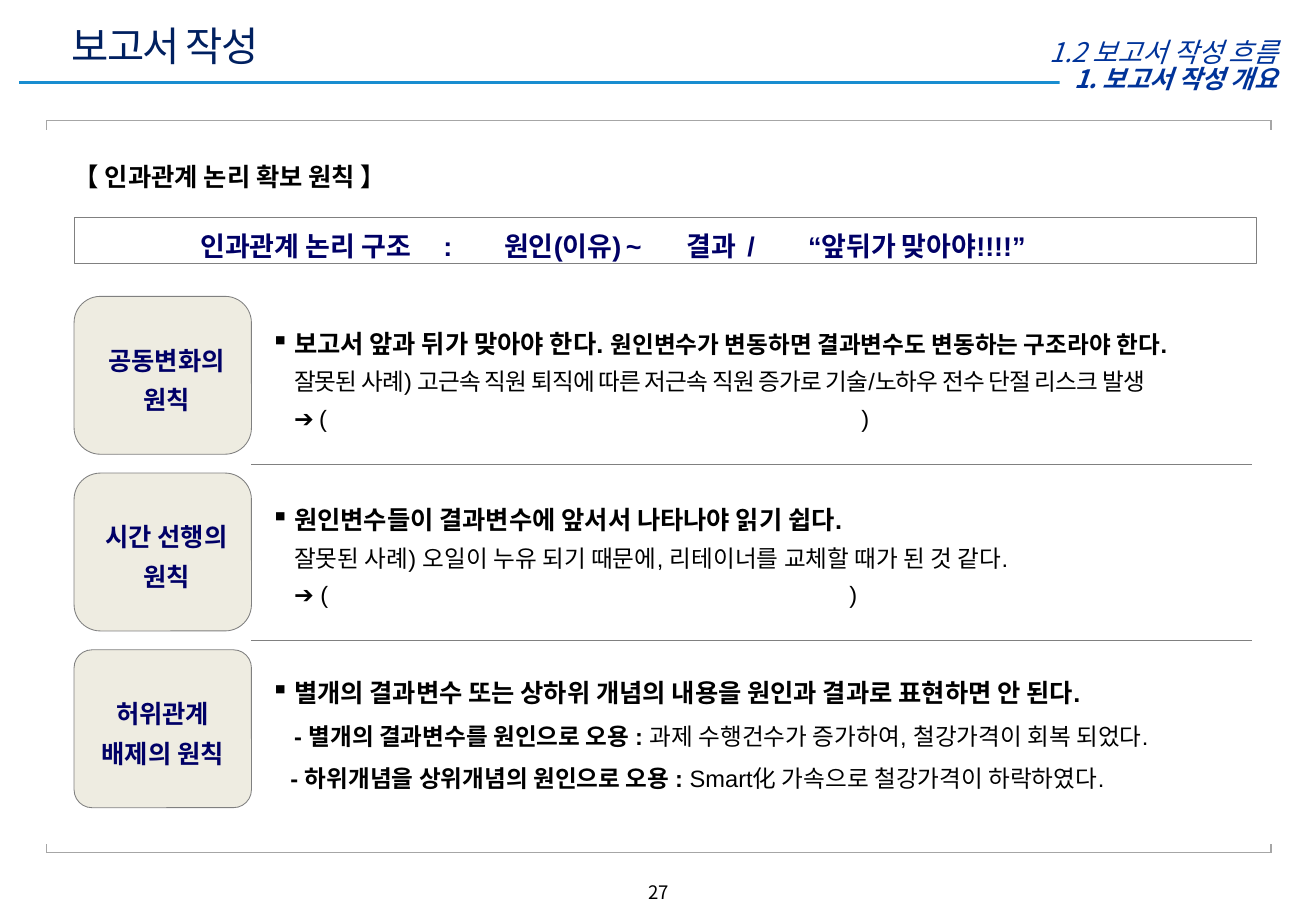
"""Build the slide on the principles of cause-and-effect logic in reports."""
from dataclasses import dataclass

from lxml import etree
from pptx import Presentation
from pptx.dml.color import RGBColor
from pptx.enum.dml import MSO_LINE
from pptx.enum.shapes import MSO_CONNECTOR, MSO_SHAPE
from pptx.enum.text import MSO_ANCHOR, MSO_AUTO_SIZE, PP_ALIGN
from pptx.oxml.ns import qn
from pptx.util import Inches, Pt

LEFT, CENTER, RIGHT = PP_ALIGN.LEFT, PP_ALIGN.CENTER, PP_ALIGN.RIGHT
TOP, MIDDLE = MSO_ANCHOR.TOP, MSO_ANCHOR.MIDDLE
STRAIGHT, DOTTED = MSO_CONNECTOR.STRAIGHT, MSO_LINE.ROUND_DOT
RECTANGLE, ROUNDED = MSO_SHAPE.RECTANGLE, MSO_SHAPE.ROUNDED_RECTANGLE


@dataclass(frozen=True)
class Theme:
    body_font: str = "Arial"
    korean_font: str = "Noto Sans CJK KR"
    title: str = "002060"
    header: str = "003399"
    rule: str = "188DD0"
    bracket: str = "A6A6A6"
    outline: str = "808080"
    label_fill: str = "EEECE1"
    label: str = "000066"
    text: str = "000000"
    white: str = "FFFFFF"
    title_size: int = 24
    large: int = 16
    medium: int = 15
    small: int = 14
    number_size: int = 11


THEME = Theme()
LEAD = {"size": THEME.medium, "bold": True}
STRONG = {"size": THEME.small, "bold": True}
PLAIN = {"size": THEME.small}
TIGHT = {"size": THEME.small, "spacing": -0.5}
BULLET = {"margin": 0.19, "indent": -0.19, "bullet": "▪"}
SUBITEM = {"margin": 0.19, "indent": -0.03}

TITLE = "보고서 작성"
CHAPTER = "1. 보고서 작성 개요"
SECTION = "1.2 보고서 작성 흐름"
HEADING = "【 인과관계 논리 확보 원칙 】"
PAGE_NUMBER = "27"
BANNER = ["인과관계 논리 구조", ":", "원인(이유)", "~", "결과", "/", "“앞뒤가 맞아야!!!!”"]
BANNER_TABS = [2.0, 2.36, 3.74, 4.17, 5.19, 5.8]

PRINCIPLES = [
    {"label": ["공동변화의 원칙"], "label_insets": (0.16, 0.1), "radius": 0.167,
     "anchor": MIDDLE, "spacing": 1.3,
     "body": [([("보고서 앞과 뒤가 맞아야 한다. ", LEAD),
                ("원인변수가 변동하면 결과변수도 변동하는 구조라야 한다.\n", STRONG),
                ("잘못된 사례) 고근속 직원 퇴직에 따른 저근속 직원 증가로 "
                 "기술/노하우 전수 단절 리스크 발생\n", TIGHT),
                ("➔ (\t)", PLAIN)], {**BULLET, "tabs": [4.86]})]},
    {"label": ["시간 선행의 원칙"], "label_insets": (0.16, 0.1), "radius": 0.167,
     "anchor": MIDDLE, "spacing": 1.3,
     "body": [([("원인변수들이 결과변수에 앞서서 나타나야 읽기 쉽다.\n", LEAD),
                ("잘못된 사례) 오일이 누유 되기 때문에, 리테이너를 교체할 때가 된 것 같다.\n", PLAIN),
                ("➔ (\t)", PLAIN)], {**BULLET, "tabs": [4.76]})]},
    {"label": ["허위관계", "배제의 원칙"], "label_insets": (0, 0), "radius": 0.114,
     "anchor": TOP, "spacing": 1.5,
     "body": [([("별개의 결과변수 또는 상하위 개념의 내용을 원인과 결과로 표현하면 안 된다.\n", LEAD),
                ("- 별개의 결과변수를 원인으로 오용 : ", STRONG),
                ("과제 수행건수가 증가하여, 철강가격이 회복 되었다.", PLAIN)], BULLET),
              ([("- 하위개념을 상위개념의 원인으로 오용 :", STRONG),
                (" Smart化 가속으로 철강가격이 하락하였다.", PLAIN)], SUBITEM)]},
]

WIDTH, HEIGHT = 10.83, 7.5
GRID_LEFT, GRID_TOP, ROW_PITCH = 0.61, 2.44, 1.455
LABEL_WIDTH, LABEL_HEIGHT = 1.46, 1.3
BODY_LEFT, BODY_WIDTH, BODY_HEIGHT = GRID_LEFT + LABEL_WIDTH, 8.27, 1.2
SEPARATOR_OFFSET, SEPARATOR_RIGHT = 1.38, 10.3
FRAME_LEFT, FRAME_RIGHT = 0.38, 10.46
BRACKETS = [(0.99, 1.07), (7.02, 6.95)]


def color(value):
    return RGBColor.from_string(value)


def add_line(slide, start, end, line_color, width, dash=None):
    points = [Inches(value) for value in (*start, *end)]
    connector = slide.shapes.add_connector(STRAIGHT, *points)
    connector.line.color.rgb = color(line_color)
    connector.line.width = Pt(width)
    if dash:
        connector.line.dash_style = dash
    etree.SubElement(connector._element.spPr, qn("a:effectLst"))


def add_box(slide, kind, box, fill, line=None, radius=None):
    shape = slide.shapes.add_shape(kind, *map(Inches, box))
    shape.shadow.inherit = False
    shape.fill.solid()
    shape.fill.fore_color.rgb = color(fill)
    if line:
        shape.line.color.rgb = color(line)
        shape.line.width = Pt(0.5)
    else:
        shape.line.fill.background()
    if radius is not None:
        shape.adjustments[0] = radius
    return shape


def add_text_box(slide, box):
    return slide.shapes.add_textbox(*map(Inches, box))


def format_paragraph(paragraph, margin=0, indent=0, bullet=None, tabs=()):
    properties = paragraph._p.get_or_add_pPr()
    properties.set("marL", str(Inches(margin)))
    properties.set("indent", str(Inches(indent)))
    if bullet:
        etree.SubElement(properties, qn("a:buChar"), char=bullet)
    else:
        etree.SubElement(properties, qn("a:buNone"))
    if tabs:
        tab_list = etree.SubElement(properties, qn("a:tabLst"))
        for position in tabs:
            etree.SubElement(tab_list, qn("a:tab"), pos=str(Inches(position)), algn="l")


def add_run(paragraph, text, font, font_color, size, bold=False, italic=False, spacing=0):
    for index, line in enumerate(text.split("\n")):
        if index:
            paragraph.add_line_break()
        if not line:
            continue
        run = paragraph.add_run()
        run.text = line
        formats = {"name": font, "size": Pt(size), "bold": bold, "italic": italic}
        for name, value in formats.items():
            setattr(run.font, name, value)
        run.font.color.rgb = color(font_color)
        properties = run._r.get_or_add_rPr()
        properties.set("spc", str(int(spacing * 100)))
        etree.SubElement(properties, qn("a:ea"), typeface=THEME.korean_font)


def write(shape, paragraphs, font=THEME.body_font, font_color=THEME.text, align=LEFT,
          anchor=TOP, insets=(0.1, 0.1), spacing=1.0, wrap=True):
    frame = shape.text_frame
    formats = {"word_wrap": wrap, "auto_size": MSO_AUTO_SIZE.NONE, "vertical_anchor": anchor,
               "margin_left": Inches(insets[0]), "margin_right": Inches(insets[1]),
               "margin_top": Inches(0.05), "margin_bottom": Inches(0.05)}
    for name, value in formats.items():
        setattr(frame, name, value)
    for index, (runs, layout) in enumerate(paragraphs):
        paragraph = frame.add_paragraph() if index else frame.paragraphs[0]
        format_paragraph(paragraph, **layout)
        paragraph.alignment, paragraph.line_spacing = align, spacing
        for text, style in runs:
            add_run(paragraph, text, font, font_color, **style)


def add_header(slide):
    add_line(slide, (0.16, 0.68), (10.59, 0.68), THEME.rule, 2)
    korean = {"font": THEME.korean_font}
    header = {**korean, "font_color": THEME.header}
    write(add_text_box(slide, (4.39, 7.2, 2.06, 0.25)),
          [([(PAGE_NUMBER, {"size": THEME.number_size})], {})], align=CENTER, **korean)
    write(add_box(slide, RECTANGLE, (8.72, 0.52, 1.97, 0.25), THEME.white),
          [([(CHAPTER, {**LEAD, "italic": True})], {})], align=CENTER, anchor=MIDDLE,
          insets=(0.04, 0.1), wrap=False, **header)
    title = slide.shapes.title
    title.left, title.top, title.width, title.height = map(Inches, (0.49, 0.19, 6.38, 0.37))
    write(title, [([(TITLE, {"size": THEME.title_size, "spacing": -1})], {})],
          font_color=THEME.title, anchor=MIDDLE, wrap=False, **korean)
    write(add_text_box(slide, (7.15, 0.24, 3.47, 0.3)),
          [([(SECTION, {"size": THEME.large, "italic": True})], {})], align=RIGHT, **header)


def add_frame(slide):
    for edge, tip in BRACKETS:
        add_line(slide, (FRAME_LEFT, edge), (FRAME_RIGHT, edge), THEME.bracket, 0.75)
        for side in (FRAME_LEFT, FRAME_RIGHT):
            add_line(slide, (side, edge), (side, tip), THEME.bracket, 0.75)


def add_principle(slide, row, principle):
    top = GRID_TOP + row * ROW_PITCH
    label = add_box(slide, ROUNDED, (GRID_LEFT, top, LABEL_WIDTH, LABEL_HEIGHT),
                    THEME.label_fill, THEME.outline, principle["radius"])
    write(label, [([(text, LEAD)], {}) for text in principle["label"]], font_color=THEME.label,
          align=CENTER, anchor=MIDDLE, insets=principle["label_insets"], spacing=1.3)
    body_top = top + (LABEL_HEIGHT - BODY_HEIGHT) / 2
    write(add_text_box(slide, (BODY_LEFT, body_top, BODY_WIDTH, BODY_HEIGHT)), principle["body"],
          anchor=principle["anchor"], insets=(0.16, 0.1), spacing=principle["spacing"])
    if row < len(PRINCIPLES) - 1:
        y = top + SEPARATOR_OFFSET
        add_line(slide, (BODY_LEFT, y), (SEPARATOR_RIGHT, y), THEME.outline, 0.25, DOTTED)


def main():
    presentation = Presentation()
    presentation.slide_width, presentation.slide_height = Inches(WIDTH), Inches(HEIGHT)
    slide = presentation.slides.add_slide(presentation.slide_layouts[5])
    add_header(slide)
    add_frame(slide)
    write(add_text_box(slide, (0.41, 1.15, 5.1, 0.53)),
          [([(HEADING, LEAD)], {"margin": 0.29, "indent": -0.19})], spacing=1.5)
    banner = add_box(slide, RECTANGLE, (GRID_LEFT, 1.79, 9.73, 0.38), THEME.white, THEME.outline)
    write(banner, [([("\t".join(BANNER), {"size": THEME.large, "bold": True})],
                    {"tabs": BANNER_TABS})],
          font_color=THEME.label, anchor=MIDDLE, insets=(1.04, 0.1), spacing=1.3)
    for row, principle in enumerate(PRINCIPLES):
        add_principle(slide, row, principle)
    presentation.save("out.pptx")


if __name__ == "__main__":
    main()
